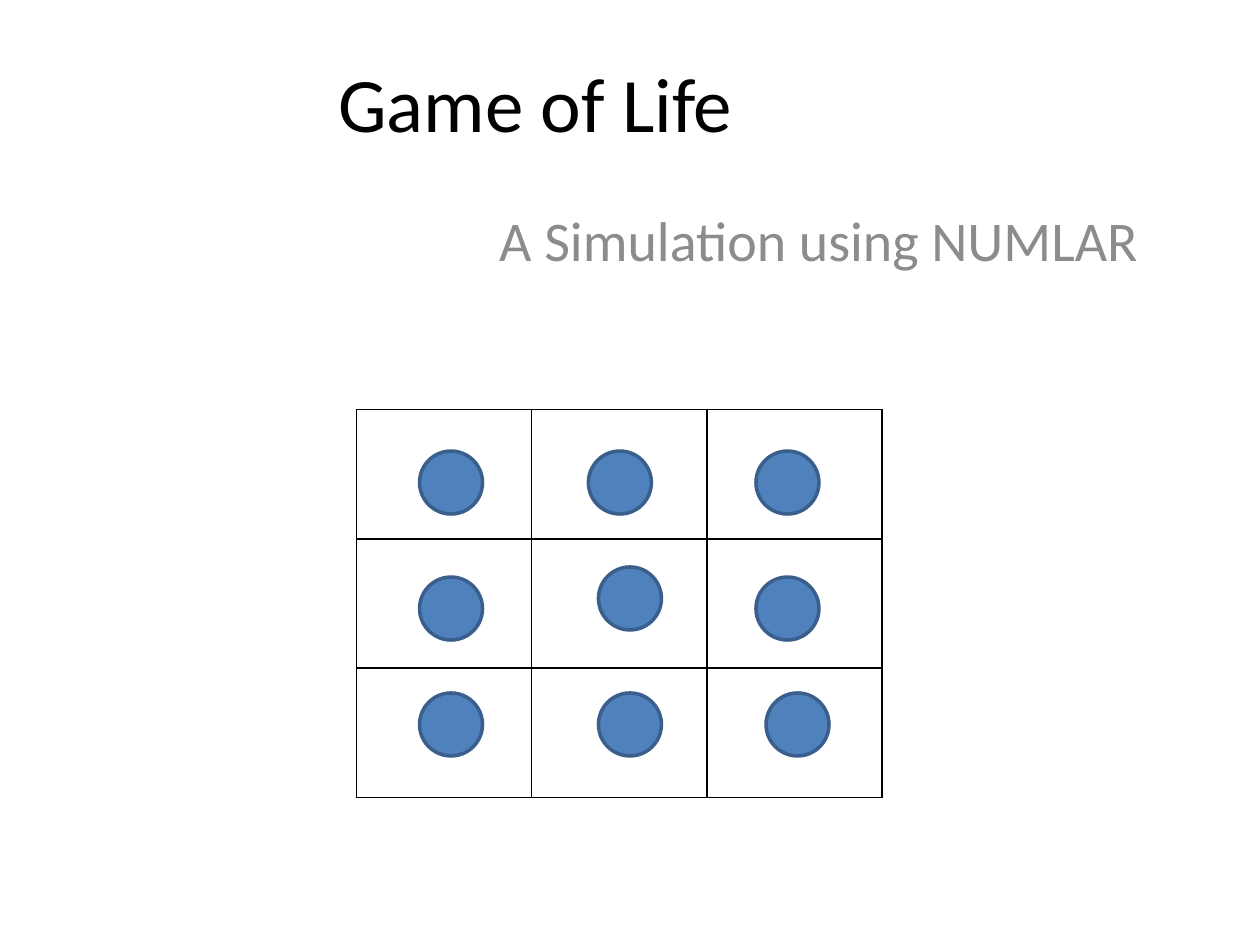
from dataclasses import dataclass
from itertools import product

from lxml.etree import SubElement
from pptx import Presentation
from pptx.dml.color import RGBColor
from pptx.enum.shapes import MSO_SHAPE as Preset
from pptx.enum.text import MSO_ANCHOR as Anchor, PP_ALIGN as Align
from pptx.oxml.ns import qn
from pptx.util import Inches, Pt

GRID_SIZE = 3
GRID_LEFT, GRID_TOP, GRID_WIDTH, GRID_HEIGHT = 2.83, 3.25, 4.17, 3.08
CELL_DIAMETER = 0.5


@dataclass
class Heading:
    text: str
    left: float
    top: float
    width: float
    height: float
    anchor: Anchor
    font: dict


@dataclass
class LiveCell:
    left: float
    top: float


def color(value: str) -> RGBColor:
    return RGBColor.from_string(value)


def fill_heading(box, heading: Heading) -> None:
    box.left, box.top = Inches(heading.left), Inches(heading.top)
    box.width, box.height = Inches(heading.width), Inches(heading.height)
    frame = box.text_frame
    frame.word_wrap = True
    frame.vertical_anchor = heading.anchor
    para = frame.paragraphs[0]
    para.alignment = Align.CENTER
    span = para.add_run()
    span.text = heading.text
    span.font.color.rgb = color(heading.font["color"])
    for name, value in heading.font.items():
        if name != "color":
            setattr(span.font, name, value)


def add_borders(cell, line_color: str, width: float) -> None:
    properties = cell._tc.get_or_add_tcPr()
    for index, side in enumerate(("a:lnL", "a:lnR", "a:lnT", "a:lnB")):
        line = properties.makeelement(qn(side), {"w": str(Pt(width))})
        fill = SubElement(line, qn("a:solidFill"))
        SubElement(fill, qn("a:srgbClr"), val=line_color)
        properties.insert(index, line)


def add_grid(page) -> None:
    table = page.shapes.add_table(
        GRID_SIZE, GRID_SIZE, Inches(GRID_LEFT), Inches(GRID_TOP),
        Inches(GRID_WIDTH), Inches(GRID_HEIGHT)).table
    table.first_row = table.horz_banding = False
    for row, column in product(range(GRID_SIZE), repeat=2):
        cell = table.cell(row, column)
        cell.fill.background()
        add_borders(cell, "000000", 1)


def add_live_cell(page, live: LiveCell) -> None:
    circle = page.shapes.add_shape(
        Preset.FLOWCHART_CONNECTOR, Inches(live.left), Inches(live.top),
        Inches(CELL_DIAMETER), Inches(CELL_DIAMETER))
    circle.shadow.inherit = False
    circle.fill.solid()
    circle.fill.fore_color.rgb = color("4F81BD")
    circle.line.color.rgb = color("3A5F8C")
    circle.line.width = Pt(2)


deck = Presentation()
deck.slide_width, deck.slide_height = Inches(10), Inches(7.5)
page = deck.slides.add_slide(deck.slide_layouts[0])

# Title and subtitle
headings = [
    Heading("Game of Life", 0, 0, 8.5, 1.61, Anchor.MIDDLE,
            {"name": "Calibri", "size": Pt(44), "color": "000000"}),
    Heading("A Simulation using NUMLAR", 3, 1.58, 7, 1.92, Anchor.TOP,
            {"name": "Calibri", "size": Pt(32), "color": "8C8C8C"}),
]
for box, heading in zip(page.placeholders, headings):
    fill_heading(box, heading)

# Board
add_grid(page)

# Live cells, row by row: top edge and left edges
live_rows = {
    3.58: (3.33, 4.67, 6),
    4.58: (3.33, 6),
    4.5: (4.75,),
    5.5: (3.33, 4.75, 6.08),
}
for top, lefts in live_rows.items():
    for left in lefts:
        add_live_cell(page, LiveCell(left, top))

deck.save("out.pptx")
